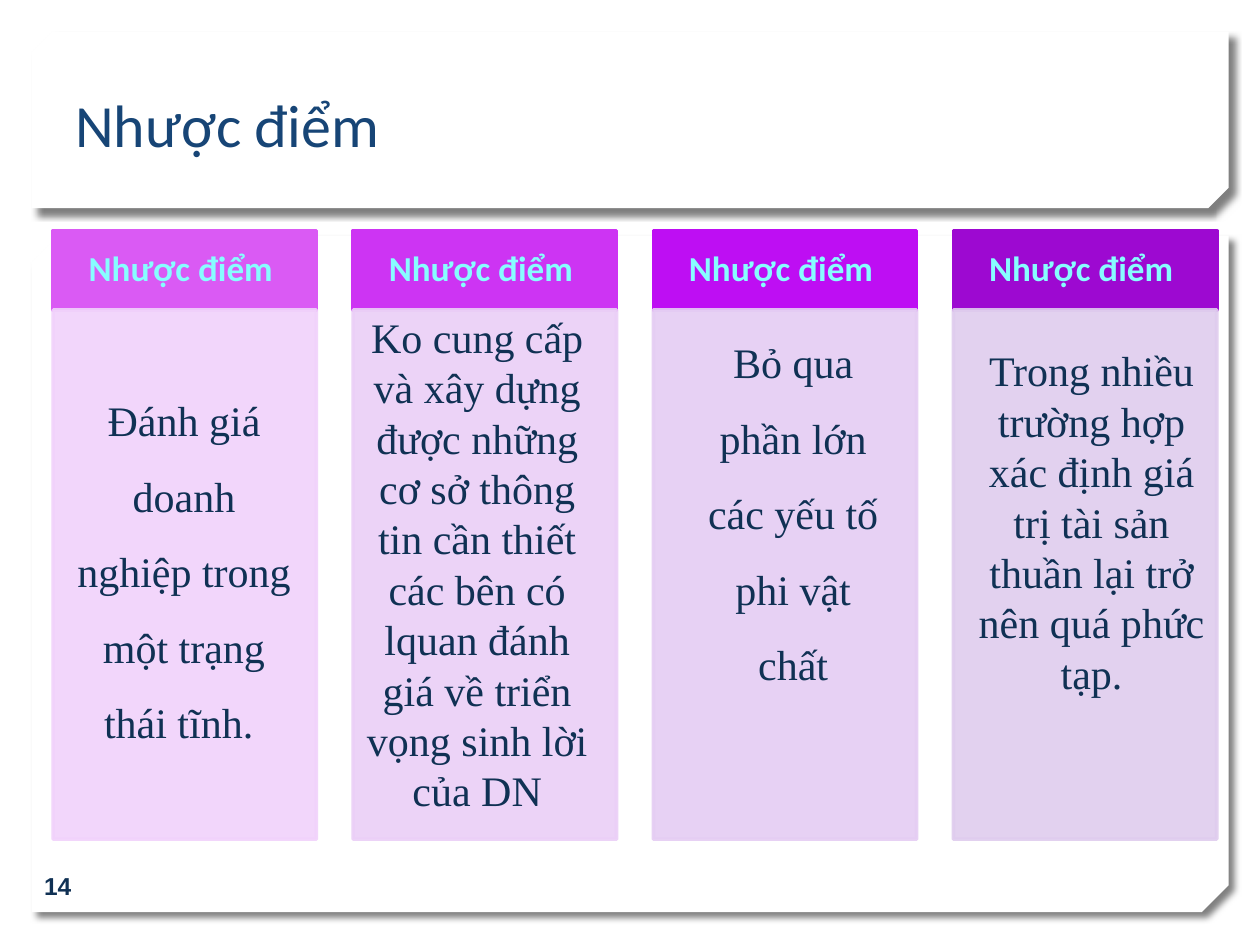
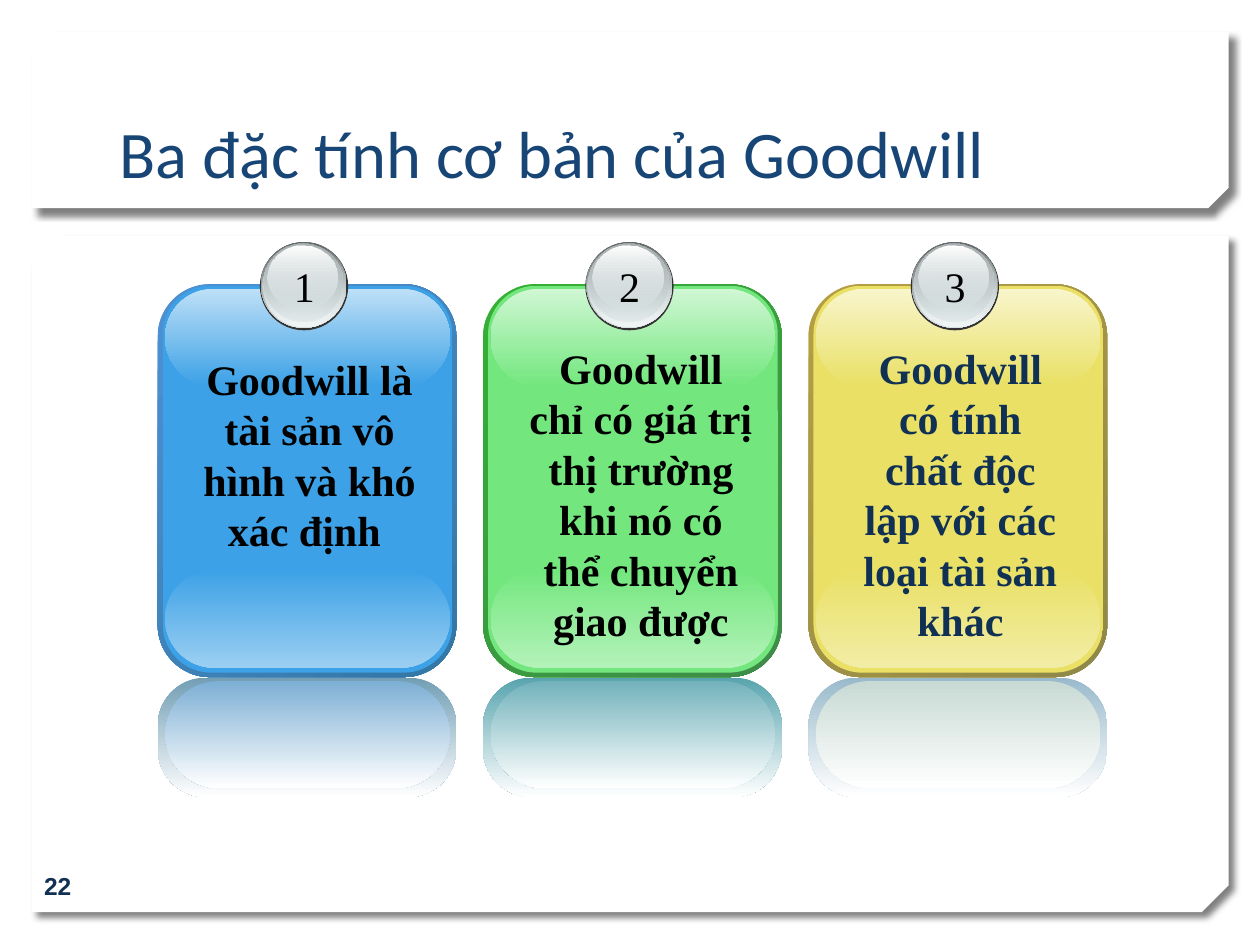
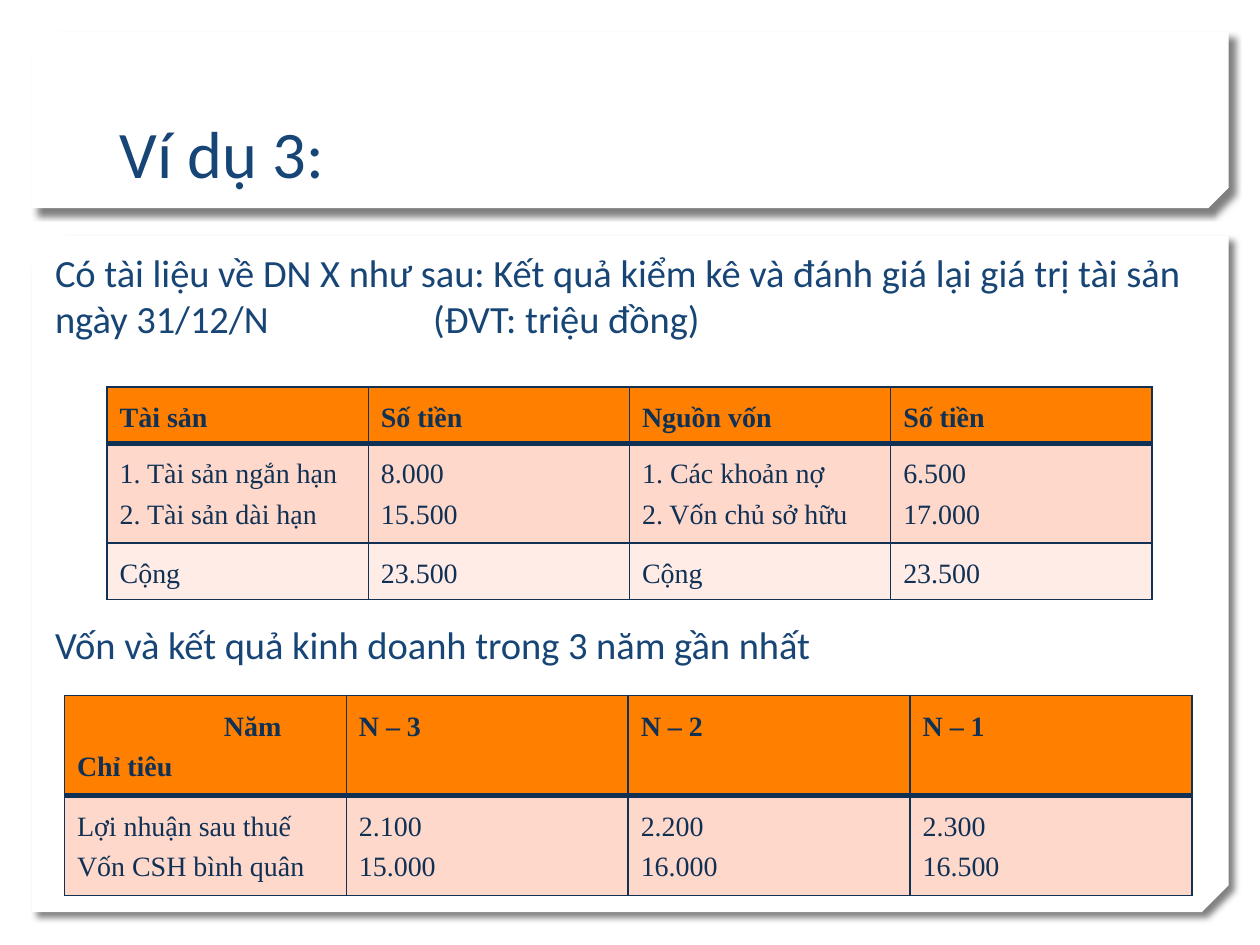
from lxml import etree
from pptx import Presentation
from pptx import util as u
from pptx.dml import color
from pptx.enum import shapes, text
from pptx.oxml import ns

C = {"white": "FFFFFF", "black": "000000", "title": "174576", "ink": "103154", "aqua": "87FDFF",
     "head": "FF7F01", "row": "FFD8CC", "total": "FFECE7", "ring": "333333",
     "steel": "636869", "silver": "D6E1E2", "pearl": "F1F5F5", "grey": "AAB2B3"}
SANS, SERIF, NUM = "Calibri", "Times New Roman", "Arial"
KIND = shapes.MSO_SHAPE
MID, BOTTOM, TOP = text.MSO_ANCHOR.MIDDLE, text.MSO_ANCHOR.BOTTOM, text.MSO_ANCHOR.TOP
LEFT, CENTER, JUSTIFY = text.PP_ALIGN.LEFT, text.PP_ALIGN.CENTER, text.PP_ALIGN.JUSTIFY
TITLE_BOX = (2.16, 0.81, 21.06, 3.18)


def rgb(h):
    """Turn a hex string into a colour."""
    return color.RGBColor.from_string(h)


def node(parent, tag, **attrs):
    """Append a DrawingML element to a parent."""
    return etree.SubElement(parent, ns.qn("a:" + tag), {k: str(v) for k, v in attrs.items()})


def solid(parent, h, alpha=100):
    """Append a colour with its opacity in percent."""
    clr = node(parent, "srgbClr", val=h)
    if alpha < 100:
        node(clr, "alpha", val=alpha * 1000)


def shape(s, kind, box, fill=None, adj=()):
    """Add a flat preset shape without a line."""
    sp = s.shapes.add_shape(kind, *map(u.Cm, box))
    sp.shadow.inherit = False
    sp.line.fill.background()
    for i, a in enumerate(adj):
        sp.adjustments[i] = a
    if fill:
        sp.fill.solid()
        sp.fill.fore_color.rgb = rgb(fill)
    return sp


def gradient(sp, start, end, angle=90):
    """Fill a shape from one (colour, opacity) to another."""
    grad = etree.Element(ns.qn("a:gradFill"), rotWithShape="1")
    stops = node(grad, "gsLst")
    for pos, stop in ((0, start), (100000, end)):
        solid(node(stops, "gs", pos=pos), *stop)
    node(grad, "lin", ang=angle * 60000, scaled=0)
    sp._element.spPr.find(ns.qn("a:prstGeom")).addnext(grad)


def style(p, size, font, ink, bold=False, align=LEFT, spacing=1.0):
    """Format a paragraph and its runs."""
    p.alignment, p.line_spacing = align, spacing
    for r in p.runs:
        r.font.size, r.font.name, r.font.bold = u.Pt(size), font, bold
        r.font.color.rgb = rgb(ink)


def label(s, box, words, size, font, ink, anchor=TOP, wrap=True, **kw):
    """Add a text box holding one paragraph."""
    tf = s.shapes.add_textbox(*map(u.Cm, box)).text_frame
    tf.word_wrap, tf.vertical_anchor = wrap, anchor
    tf.text = words
    style(tf.paragraphs[0], size, font, ink, **kw)
    return tf.paragraphs[0]


def frame(prs, title, number=None, box=TITLE_BOX, size=38):
    """Add a slide with its two snipped panels, title and number."""
    s = prs.slides.add_slide(prs.slide_layouts[6])
    for top, height, snip in ((4.75, 13.64, 0.04), (0.64, 3.56, 0.117)):
        sp = shape(s, KIND.SNIP_2_DIAG_RECTANGLE, (0.64, top, 24.13, height), C["white"], (0, snip))
        pr = sp._element.spPr
        pr.xfrm.set("flipV", "1")
        shadow = node(pr.find(ns.qn("a:effectLst")), "outerShdw", blurRad=u.Pt(4), dist=u.Pt(5),
                      dir=45 * 60000, algn="tl", rotWithShape=0)
        solid(shadow, C["black"], 50)
    label(s, box, title, size, SANS, C["title"], BOTTOM)
    if number:
        label(s, (0.64, 17.35, 5.92, 1.02), number, 14, NUM, C["ink"], MID, bold=True)
    return s


def column(s, box, head, body, words, inset, spacing):
    """Draw a headed column with its text inset in the box."""
    x, y, w, h = box
    bar = 1.6
    for fill, top, height, alpha in ((head, y, bar, 100), (body, y + bar, h - bar, 90)):
        sp = shape(s, KIND.RECTANGLE, (x, top, w, height), fill)
        sp.line.color.rgb, sp.line.width = rgb(fill), u.Pt(2)
        if alpha < 100:
            for clr in list(sp._element.spPr.iter(ns.qn("a:srgbClr"))):
                node(clr, "alpha", val=alpha * 1000)
        else:
            tf = sp.text_frame
            tf.text, tf.vertical_anchor = "Nhược điểm ", MID
            style(tf.paragraphs[0], 20, SANS, C["aqua"], True, CENTER, 0.9)
    dx, dy, tw, th = inset
    label(s, (x + dx, y + dy, tw, th), words, 24, SERIF, C["ink"], align=CENTER, spacing=spacing)


def drawbacks(prs):
    """Build the slide of four drawback columns."""
    s = frame(prs, "Nhược điểm", "14", (1.27, 1.78, 22.86, 1.57), 34.2)
    columns = [
        ("DA5AF4", "F1D2FB", "Đánh giá doanh nghiệp trong một trạng thái tĩnh. ",
         (0.2, 2.67, 4.88, 9.4), 1.5),
        ("CD34F3", "EBCFF7", "Ko cung cấp và xây dựng được những cơ sở thông tin cần thiết "
         "các bên có lquan đánh giá về triển vọng sinh lời của DN", (-0.14, 1.5, 5.28, 11.53), 1.0),
        ("BE0EF3", "E5CDF3", "Bỏ qua phần lớn các yếu tố phi vật chất",
         (0.6, 1.5, 4.44, 7.87), 1.5),
        ("9D09D1", "DFCCEE", "Trong nhiều trường hợp xác định giá trị tài sản thuần lại "
         "trở nên quá phức tạp.", (0.03, 2.18, 5.51, 8.46), 1.0),
    ]
    for i, col in enumerate(columns):
        column(s, (1.07 + 6.05 * i, 4.65, 5.31, 12.27), *col)


def badge(s, x, y, number):
    """Draw a glossy numbered badge at a corner point."""
    shape(s, KIND.OVAL, (x, y, 1.78, 1.78), C["ring"])
    rings = [
        (0.02, 0, 1.73, 1.73, ("steel", 100), ("silver", 100)),
        (0.05, 0.03, 1.68, 1.68, ("silver", 0), ("pearl", 100)),
        (0.07, 0.04, 1.6, 1.57, ("grey", 100), ("silver", 48)),
        (0.15, 0.08, 1.42, 1.27, ("white", 100), ("silver", 38)),
    ]
    for dx, dy, w, h, (c1, a1), (c2, a2) in rings:
        gradient(shape(s, KIND.OVAL, (x + dx, y + dy, w, h)), (C[c1], a1), (C[c2], a2))
    label(s, (x + 0.4, y + 0.25, 0.99, 1.27), number, 24, SERIF, C["black"],
          wrap=False, align=CENTER)


def card(s, x, y, number, words, ink, inset, tones):
    """Draw a glossy card with its reflection, badge and text."""
    edge, edge_end, face, foot, gloss, mirror, mirror_in = tones
    white = C["white"]
    layers = [
        (0, 0, 6.02, 7.92, 0.175, edge, edge_end, 45),
        (0.1, 0.03, 5.84, 7.8, 0.167, face, face, 90),
        (0.15, 5.75, 5.74, 1.98, 0.5, face, foot, 90),
        (0.15, 0.09, 5.74, 1.96, 0.5, gloss, face, 90),
        (0, 7.93, 6.02, 2.41, 0.404, mirror, white, 90),
        (0.15, 8, 5.74, 2.16, 0.5, mirror_in, white, 90),
    ]
    for dx, dy, w, h, adj, c1, c2, angle in layers:
        sp = shape(s, KIND.ROUNDED_RECTANGLE, (x + dx, y + dy, w, h), adj=(adj,))
        gradient(sp, (c1,), (c2,), angle)
    badge(s, x + 2.06, y - 0.85, number)
    dx, dy, w, h = inset
    label(s, (x + dx, y + dy, w, h), words, 24, SERIF, ink, bold=True, align=CENTER)


def traits(prs):
    """Build the slide of three goodwill traits."""
    s = frame(prs, "Ba đặc tính cơ bản của Goodwill", "22")
    cards = [
        ("Goodwill là tài sản vô hình và khó xác định ", C["black"], (0.2, 1.27, 5.72, 5.38),
         ("4E91D4", "3477A4", "3CA1E6", "9BCFF2", "BEE0F7", "729EB4", "7DAFD4")),
        ("Goodwill chỉ có giá trị thị trường khi nó có thể chuyển giao được", C["black"],
         (0.64, 1.05, 5.08, 6.4),
         ("34B034", "3F8B4A", "73E77E", "B3F2B9", "D0F7D4", "58A4AE", "72B2BB")),
        ("Goodwill có tính chất độc lập với các loại tài sản khác", C["ink"],
         (0.84, 1.05, 4.44, 6.4),
         ("B59F43", "8F8849", "E9E065", "F2EDA6", "F8F5CC", "99BACC", "C8DAD4")),
    ]
    for i, item in enumerate(cards):
        card(s, 3.18 + 6.56 * i, 5.73, str(i + 1), *item)


def borders(cell, **widths):
    """Draw the cell borders with the given point widths."""
    pr = cell._tc.get_or_add_tcPr()
    for i, side in enumerate("LRTB"):
        ln = node(pr, "ln" + side, w=u.Pt(widths.get(side, 1)))
        solid(node(ln, "solidFill"), C["ink"])
        pr.insert(i, ln)


def grid(s, x, y, w, heights, rows, fills):
    """Add a table whose first row is a bold header."""
    tbl = s.shapes.add_table(len(rows), len(rows[0]), u.Cm(x), u.Cm(y), u.Cm(w),
                             u.Cm(sum(heights))).table
    tbl.first_row = tbl.horz_banding = False
    for i, row in enumerate(rows):
        tbl.rows[i].height = u.Cm(heights[i])
        for j, words in enumerate(row):
            cell = tbl.cell(i, j)
            cell.text = words
            cell.fill.solid()
            cell.fill.fore_color.rgb = rgb(fills[i])
            borders(cell, T=3 if i == 1 else 1, B=3 if i == 0 else 1)
            for p in cell.text_frame.paragraphs:
                style(p, 16, SERIF, C["ink"], i == 0, JUSTIFY, 1.3)
    return tbl


def example(prs):
    """Build the worked example with its two tables."""
    s = frame(prs, "Ví dụ 3:")
    p = label(s, (0.86, 4.9, 23.65, 2.2), "Có tài liệu về DN X như sau: Kết quả kiểm kê và đánh giá "
              "lại giá trị tài sản ngày 31/12/N\t(ĐVT: triệu đồng)", 22, SANS, C["title"])
    node(node(p._p.get_or_add_pPr(), "tabLst"), "tab", pos=u.Cm(7.62), algn="l")
    label(s, (0.86, 12.4, 23.65, 1.2), "Vốn và kết quả kinh doanh trong 3 năm gần nhất",
          22, SANS, C["title"])
    grid(s, 2.16, 7.8, 21.06, (1.07, 1.88, 1.07), [
        ("Tài sản", "Số tiền", "Nguồn vốn", "Số tiền"),
        ("1. Tài sản ngắn hạn\n2. Tài sản dài hạn", "8.000\n15.500",
         "1. Các khoản nợ\n2. Vốn chủ sở hữu", "6.500\n17.000"),
        ("Cộng", "23.500", "Cộng", "23.500"),
    ], (C["head"], C["row"], C["total"]))
    tbl = grid(s, 1.3, 14.02, 22.73, (1.88, 1.88), [
        ("Năm\nChỉ tiêu", "N – 3", "N – 2", "N – 1"),
        ("Lợi nhuận sau thuế\nVốn CSH bình quân", "2.100\n15.000", "2.200\n16.000",
         "2.300\n16.500"),
    ], (C["head"], C["row"]))
    year = tbl.cell(0, 0).text_frame.paragraphs[0]
    year._p.get_or_add_pPr().set("marL", str(u.Cm(2.96)))


def main():
    """Build the presentation and save it."""
    prs = Presentation()
    prs.slide_width, prs.slide_height = u.Cm(25.4), u.Cm(19.05)
    drawbacks(prs)
    traits(prs)
    example(prs)
    prs.save("out.pptx")


if __name__ == "__main__":
    main()
